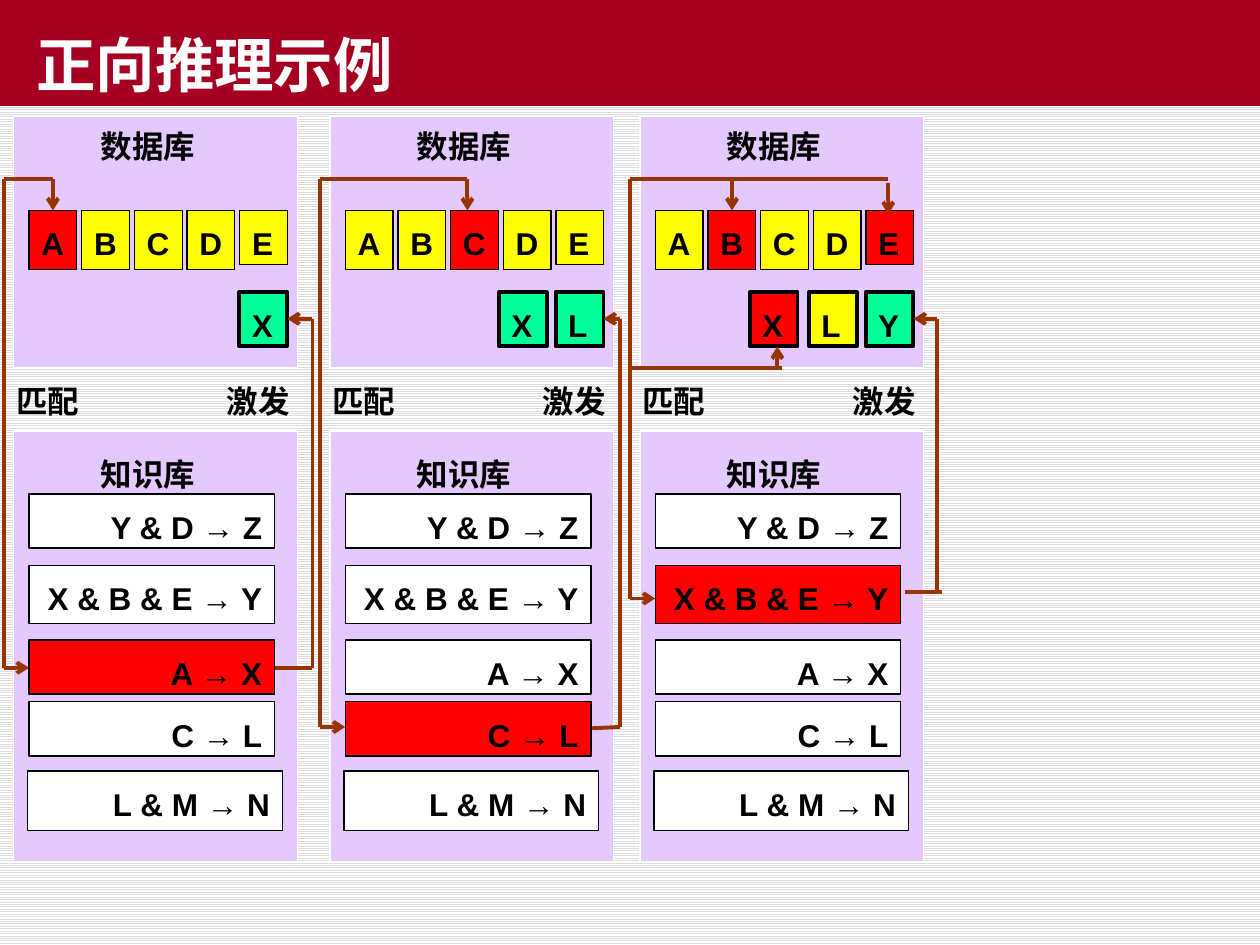
from dataclasses import dataclass
from itertools import pairwise

from lxml.etree import SubElement
from pptx import Presentation
from pptx.dml.color import RGBColor
from pptx.enum.dml import MSO_PATTERN_TYPE as Pattern
from pptx.enum.shapes import MSO_CONNECTOR as Connector, MSO_SHAPE as Shape
from pptx.enum.text import MSO_ANCHOR as Anchor, PP_ALIGN as Align
from pptx.oxml.ns import qn
from pptx.util import Inches, Pt


@dataclass(frozen=True)
class Theme:
    font: str = "Arial"
    title_size: int = 34
    body_size: int = 18
    thin: float = 0.75
    thick: float = 2.25
    banner: str = "A50021"
    panel: str = "E4C9FF"
    idle: str = "FFFF00"
    active: str = "FF0000"
    fresh: str = "00FF99"
    arrow: str = "993300"
    stripe: str = "DDDDDD"
    white: str = "FFFFFF"
    black: str = "000000"


T = Theme()
COLS, ROWS = 100, 75


def rgb(value):
    return RGBColor.from_string(value)


class Board:
    """Draws on a grid of 100 columns by 75 rows; left shifts the columns."""

    def __init__(self, prs):
        self.col = prs.slide_width / COLS
        self.row = prs.slide_height / ROWS
        self.s = prs.slides.add_slide(prs.slide_layouts[6])
        self.left = 0

    def grid(self, x, y):
        return round((self.left + x) * self.col), round(y * self.row)

    def size(self, w, h):
        return round(w * self.col), round(h * self.row)

    def background(self):
        fill = self.s.background.fill
        fill.patterned()
        fill.pattern = Pattern.LIGHT_HORIZONTAL
        fill.fore_color.rgb, fill.back_color.rgb = rgb(T.stripe), rgb(T.white)

    def set_text(self, sp, text, align=Align.LEFT, size=T.body_size, color=T.black):
        tf = sp.text_frame
        tf.vertical_anchor = Anchor.TOP
        tf.text = text
        p = tf.paragraphs[0]
        p.alignment = align
        p.line_spacing = 1.2
        font = p.runs[0].font
        font.name, font.size, font.bold = T.font, Pt(size), True
        font.color.rgb = rgb(color)
        return p

    def box(self, x, y, w, h, fill, line=T.black, width=T.thin):
        sp = self.s.shapes.add_shape(Shape.RECTANGLE, *self.grid(x, y), *self.size(w, h))
        sp.shadow.inherit = False
        sp.fill.solid()
        sp.fill.fore_color.rgb = rgb(fill)
        if line:
            sp.line.color.rgb, sp.line.width = rgb(line), Pt(width)
        else:
            sp.line.fill.background()
        return sp

    def label(self, x, y, w, text):
        sp = self.s.shapes.add_textbox(*self.grid(x, y), *self.size(w, 4.3))
        sp.text_frame.word_wrap = False
        self.set_text(sp, text)

    def route(self, points, head):
        """Joins the points with straight lines, the last one with an arrowhead if asked."""
        for start, end in pairwise(points):
            line = self.s.shapes.add_connector(
                Connector.STRAIGHT, *self.grid(*start), *self.grid(*end))
            line.line.color.rgb, line.line.width = rgb(T.arrow), Pt(T.thick)
            sp_pr = line._element.spPr
            if head and end == points[-1]:
                SubElement(sp_pr.find(qn("a:ln")), qn("a:tailEnd"), type="arrow")
            SubElement(sp_pr, qn("a:effectLst"))

    def title(self, text):
        sp = self.box(0, 0, COLS, 8.4, T.banner, line=None)
        p = self.set_text(sp, text, size=T.title_size, color=T.white)
        p.line_spacing = 1
        p._p.get_or_add_pPr().set("indent", str(Inches(0.19)))
        sp.text_frame.vertical_anchor = Anchor.BOTTOM


FACTS = "ABCDE"
# text, left, top, width, height
RULES = [
    ("Y & D → Z", 1.2, 39.2, 19.5, 4.3),
    ("X & B & E → Y", 1.2, 44.9, 19.5, 4.6),
    ("A → X", 1.2, 50.8, 19.5, 4.3),
    ("C → L", 1.2, 55.7, 19.5, 4.3),
    ("L & M → N", 1.1, 61.2, 20.2, 4.7),
]
# left, top, width, text
LABELS = [(5.9, 9, 9.7, "数据库"), (5.9, 35, 9.7, "知识库"),
          (-0.8, 29.2, 7.1, "匹配"), (15.9, 29.2, 7.1, "激发")]
LANE, TOP, FACT_TOP, DERIVED_Y = -0.8, 14.2, 16.7, 25.3
DERIVED_RIGHT = 21.7

# left edge, matched facts, fired rule, derived facts, routes (points, arrowhead)
STEPS = [
    (1.1, "A", "A → X", [("X", 17.9, T.fresh)], [
        ([(3.1, TOP), (3.1, FACT_TOP)], True),
        ([(3.1, TOP), (LANE, TOP), (LANE, 53), (1.2, 53)], True),
        ([(20.7, 53), (23.7, 53), (23.7, DERIVED_Y), (DERIVED_RIGHT, DERIVED_Y)], True),
    ]),
    (26.2, "C", "C → L", [("X", 13.4, T.fresh), ("L", 17.9, T.fresh)], [
        ([(10.9, TOP), (10.9, FACT_TOP)], True),
        ([(10.9, TOP), (LANE, TOP), (LANE, 57.7), (1.2, 57.7)], True),
        ([(20.8, 57.8), (23, 57.7), (23, DERIVED_Y), (DERIVED_RIGHT, DERIVED_Y)], True),
    ]),
    (50.8, "BE", "X & B & E → Y",
     [("X", 8.7, T.active), ("L", 13.4, T.idle), ("Y", 17.9, T.fresh)], [
        ([(7.3, TOP), (7.3, FACT_TOP)], True),
        ([(19.7, 14.5), (19.7, 17)], True),
        ([(19.7, TOP), (LANE, TOP), (LANE, 47.5), (1.2, 47.5)], True),
        ([(LANE, 29.2), (11.3, 29.2)], False),
        ([(10.9, 29.2), (10.9, 27.5)], True),
        ([(21, 47), (24, 47)], False),
        ([(23.6, 47), (23.6, DERIVED_Y), (DERIVED_RIGHT, DERIVED_Y)], True),
     ]),
]


def draw_step(board, left, matched, fired, derived, routes):
    board.left = left
    for top, height in ((9.2, 20), (34.2, 34.2)):
        board.box(0, top, 22.5, height, T.panel, T.white)
    for i, fact in enumerate(FACTS):
        fill = T.active if fact in matched else T.idle
        height = 4.3 if fact == FACTS[-1] else 4.7
        board.set_text(board.box(1.2 + 4.18 * i, FACT_TOP, 3.8, height, fill), fact)
    for fact, x, fill in derived:
        board.set_text(board.box(x, 23.2, 3.8, 4.3, fill, width=T.thick), fact)
    for rule, *place in RULES:
        fill = T.active if rule == fired else T.white
        board.set_text(board.box(*place, fill), rule, Align.RIGHT)
    for label in LABELS:
        board.label(*label)
    for points, head in routes:
        board.route(points, head)


def main():
    prs = Presentation()
    prs.slide_width, prs.slide_height = Inches(10), Inches(7.5)
    board = Board(prs)
    board.background()
    board.title("正向推理示例")
    for step in STEPS:
        draw_step(board, *step)
    prs.save("out.pptx")


if __name__ == "__main__":
    main()
